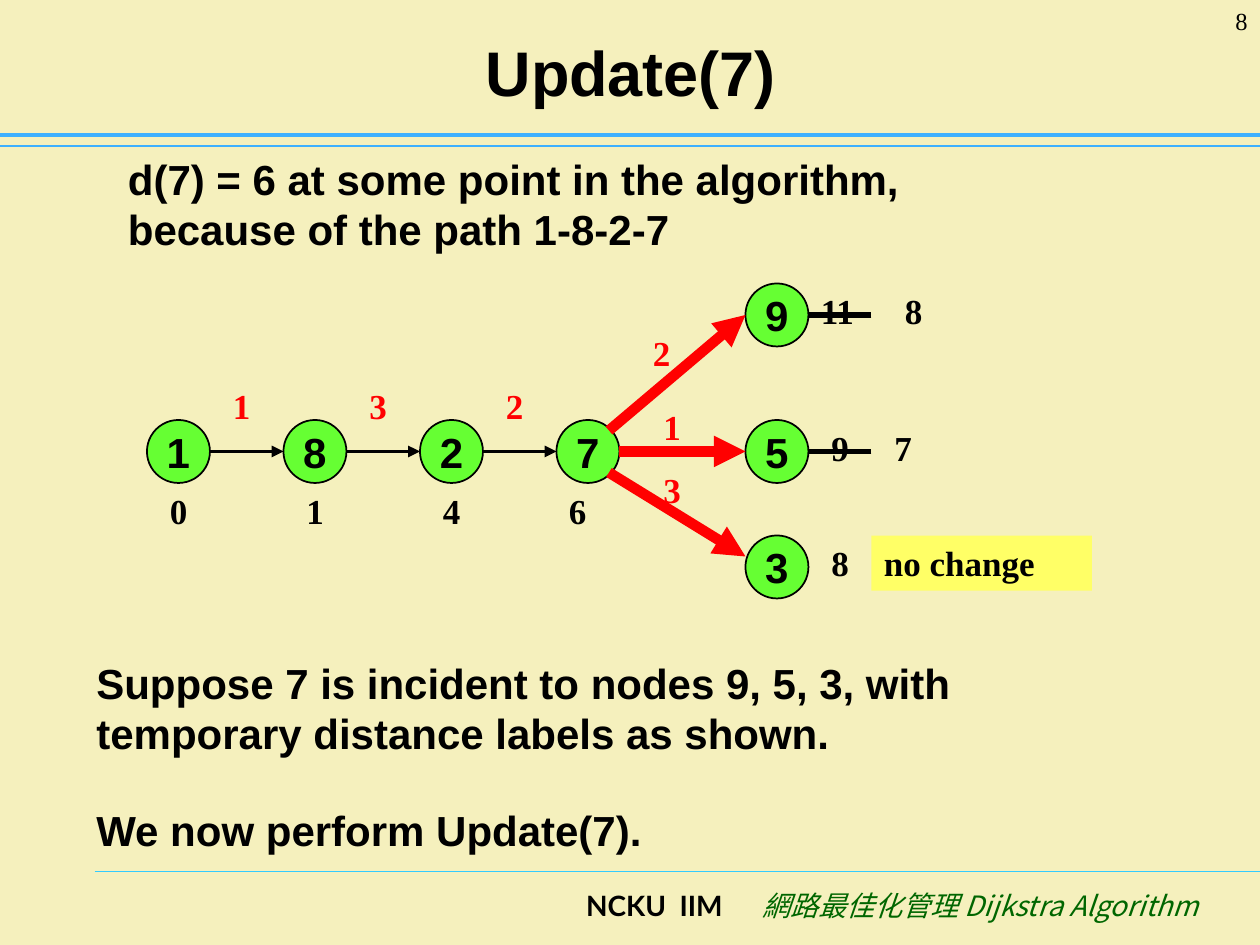
from lxml import etree
from pptx import Presentation
from pptx.dml.color import RGBColor
from pptx.enum.shapes import MSO_CONNECTOR, MSO_SHAPE
from pptx.enum.text import MSO_ANCHOR, PP_ALIGN
from pptx.oxml.ns import qn
from pptx.util import Pt

LEFT, CENTER, RIGHT = PP_ALIGN.LEFT, PP_ALIGN.CENTER, PP_ALIGN.RIGHT
TOP, MIDDLE = MSO_ANCHOR.TOP, MSO_ANCHOR.MIDDLE
STRAIGHT = MSO_CONNECTOR.STRAIGHT
OVAL = MSO_SHAPE.OVAL
RECT = MSO_SHAPE.RECTANGLE

BLACK, RED, GREEN, YELLOW = "000000", "FF0000", "66FF33", "FFFF66"
BODY = {"name": "Arial", "size": Pt(24), "bold": True}
TITLE = {**BODY, "size": Pt(36)}
LABEL = {"name": "Times New Roman", "size": Pt(20), "bold": True}
PAGE = {"name": "Times New Roman", "size": Pt(14)}
SCHOOL = {"name": "Lato", "size": Pt(16), "bold": True}
COURSE = {"name": "Noto Sans CJK SC", "size": Pt(16), "italic": True}

NODE = 36        # node diameter
STEP = 78        # distance between nodes on the path
PATH_X, PATH_Y = 84, 240
FAN_X = 426      # column of the nodes next to node 7
LABEL_H = 31.5


def rgb(value):
    return RGBColor.from_string(value)


class SlideBuilder:
    def __init__(self, prs, background):
        self.s = prs.slides.add_slide(prs.slide_layouts[6])
        fill = self.s.background.fill
        fill.solid()
        fill.fore_color.rgb = rgb(background)

    def fill_text(self, sp, text, fmt, color, align, anchor, wrap=True):
        tf = sp.text_frame
        tf.word_wrap = wrap
        tf.vertical_anchor = anchor
        p = tf.paragraphs[0]
        p.alignment = align
        r = p.add_run()
        r.text = text
        for key, value in fmt.items():
            setattr(r.font, key, value)
        r.font.color.rgb = rgb(color)
        if not text.isascii():
            ea = etree.SubElement(r.font._element, qn("a:ea"))
            ea.set("typeface", fmt["name"])

    def text(self, x, y, w, h, text, fmt, color=BLACK, align=LEFT, anchor=TOP):
        sp = self.s.shapes.add_textbox(Pt(x), Pt(y), Pt(w), Pt(h))
        self.fill_text(sp, text, fmt, color, align, anchor)

    def label(self, x, y, text, color=BLACK, w=42):
        self.text(x, y, w, LABEL_H, text, LABEL, color)

    def shape(self, kind, x, y, w, h, fill, line=None):
        sp = self.s.shapes.add_shape(kind, Pt(x), Pt(y), Pt(w), Pt(h))
        sp.shadow.inherit = False
        sp.fill.solid()
        sp.fill.fore_color.rgb = rgb(fill)
        if line:
            sp.line.color.rgb = rgb(line)
            sp.line.width = Pt(1)
        else:
            sp.line.fill.background()
        return sp

    def node(self, x, y, text):
        sp = self.shape(OVAL, x, y, NODE, NODE, GREEN, BLACK)
        self.fill_text(sp, text, BODY, BLACK, CENTER, MIDDLE, wrap=False)

    def note(self, x, y, w, h, text):
        sp = self.shape(RECT, x, y, w, h, YELLOW)
        self.fill_text(sp, text, LABEL, BLACK, LEFT, TOP)

    def line(self, x1, y1, x2, y2, color, width, arrow=False):
        cn = self.s.shapes.add_connector(STRAIGHT, Pt(x1), Pt(y1), Pt(x2), Pt(y2))
        cn.line.color.rgb = rgb(color)
        cn.line.width = Pt(width)
        spPr = cn._element.spPr
        if arrow:
            etree.SubElement(spPr.find(qn("a:ln")), qn("a:tailEnd"), type="triangle")
        etree.SubElement(spPr, qn("a:effectLst"))


def main():
    prs = Presentation()
    prs.slide_width, prs.slide_height = Pt(720), Pt(540)
    b = SlideBuilder(prs, "F5F0BD")

    # Rules and footer
    b.line(54, 498, 720, 498, "33CCFF", 0.75)
    b.line(0, 83.5, 720, 83.5, "3DB0FF", 0.75)
    b.line(0, 77, 720, 77, "3DB0FF", 2.5)
    b.text(132, 504, 288, 36, "NCKU  IIM", SCHOOL, align=RIGHT)
    b.text(420, 504, 272, 36, "網路最佳化管理 Dijkstra Algorithm", COURSE, "006600", RIGHT)

    # Title and page number
    b.text(36.5, 9.5, 648, 62.5, "Update(7)", TITLE, align=CENTER, anchor=MIDDLE)
    b.text(660, 0, 60, 36, "8", PAGE, align=RIGHT)

    # Body text
    b.text(66, 84, 456, 65, "d(7) = 6 at some point in the algorithm, "
           "because of the path 1-8-2-7", BODY)
    b.text(48, 372, 516, 65, "Suppose 7 is incident to nodes 9, 5, 3, with "
           "temporary distance labels as shown.", BODY)
    b.text(48, 456, 414, 36, "We now perform Update(7).", BODY)

    # Path 1-8-2-7 with distance labels below
    middle = PATH_Y + NODE / 2
    path_nodes = [("1", "0", 6), ("8", "1", 6), ("2", "4", 6), ("7", "6", 0)]
    for i, (name, distance, shift) in enumerate(path_nodes):
        x = PATH_X + i * STEP
        b.node(x, PATH_Y, name)
        b.label(x + shift, PATH_Y + NODE, distance)

    # Edges along the path with their lengths
    for i, length in enumerate("132"):
        x = PATH_X + i * STEP
        b.line(x + NODE, middle, x + STEP, middle, BLACK, 2.25, arrow=True)
        b.label(x + 42, 216, length, RED, w=30)

    # Neighbours of 7: name, top, old label and its left
    for name, y, old, x in [("9", 162, "11", 462), ("5", 240, "9", 468), ("3", 306, "8", 468)]:
        b.node(FAN_X, y, name)
        b.label(x, y, old)

    # Replaced labels struck out, with new values
    for y, new, x in [(162, "8", 510), (240, "7", 504)]:
        b.line(498, y + NODE / 2, FAN_X + NODE, y + NODE / 2, BLACK, 3)
        b.label(x, y, new, w=36)
    b.note(498, 306, 126, LABEL_H, "no change")

    # Edges out of 7: start, end height, length and its position
    for x, y, end, length, lx, ly in [(348, 246, 180, "2", 366, 186),
                                      (354, 258, 258, "1", 372, 228),
                                      (348, 270, 318, "3", 372, 264)]:
        b.label(lx, ly, length, RED, w=30)
        b.line(x, y, FAN_X, end, RED, 6, arrow=True)

    prs.save("out.pptx")


if __name__ == "__main__":
    main()
